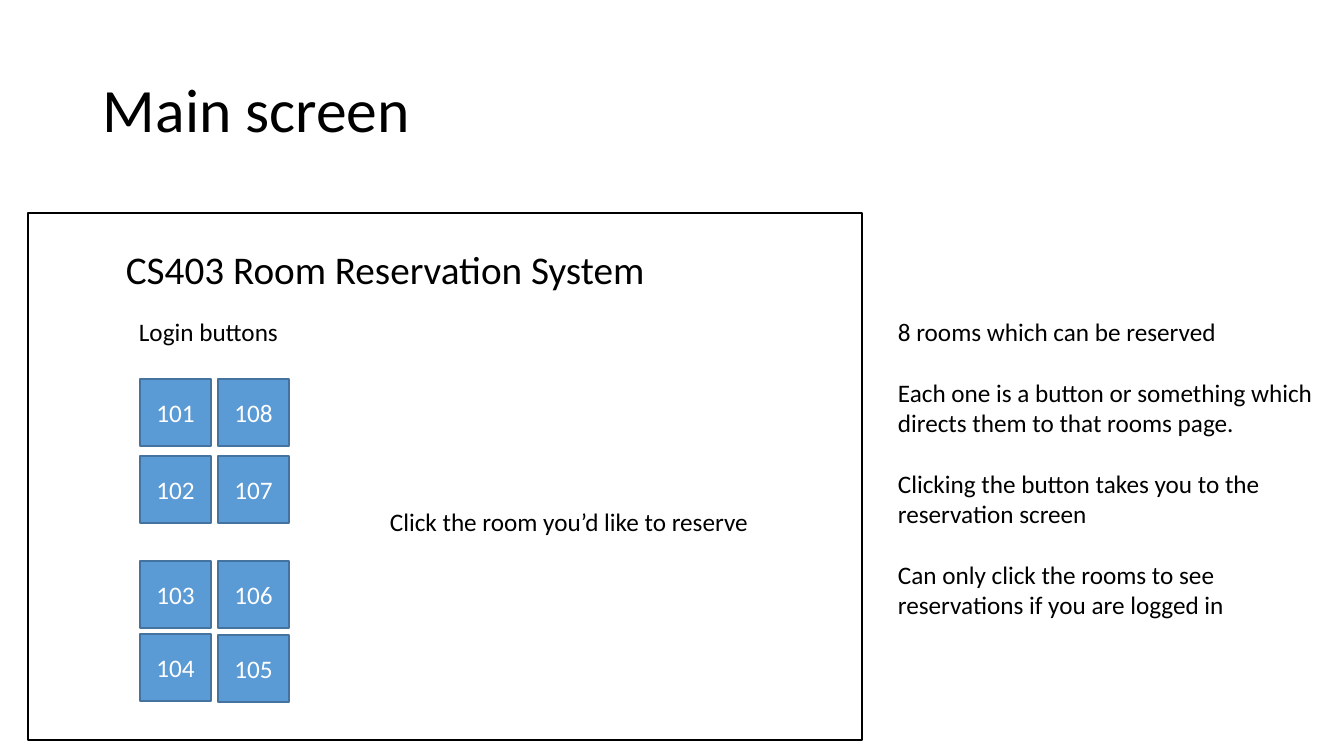
"""Builds the main screen slide of the room reservation system."""
from pptx import Presentation
from pptx.dml.color import RGBColor
from pptx.enum.shapes import MSO_SHAPE
from pptx.enum.text import MSO_ANCHOR, PP_ALIGN
from pptx.util import Pt

RECT = MSO_SHAPE.RECTANGLE
TOP, MIDDLE = MSO_ANCHOR.TOP, MSO_ANCHOR.MIDDLE
LEFT, CENTER = PP_ALIGN.LEFT, PP_ALIGN.CENTER

FONT = "Calibri"
COLORS = {"ink": "000000", "room": "5B9BD5", "edge": "43739E", "label": "FFFFFF"}
WIDE, HIGH = 1344, 756
SCALE = 914400 / 100.8

TITLE = "Main screen"
LABELS = [
    ("Click the room you\u2019d like to reserve", (380, 501, 391, 40), 18),
    ("Login buttons", (129, 311, 161, 40), 18),
    ("CS403 Room Reservation System", (116, 240, 545, 57), 28),
]
NOTES = [
    "8 rooms which can be reserved",
    "Each one is a button or something which directs them to that rooms page.",
    "Clicking the button takes you to the reservation screen",
    "Can only click the rooms to see reservations if you are logged in",
]
ROOMS = [
    (140, [("101", 379), ("102", 456), ("103", 561), ("104", 634)]),
    (218, [("108", 379), ("107", 456), ("106", 561), ("105", 635)]),
]
ROOM_SIZE = (71, 67)
FRAME = (28, 213, 834, 527)


def px(n):
    return round(n * SCALE)


def paint(name):
    return RGBColor.from_string(COLORS[name])


def write(frame, lines, size=18, color="ink", align=LEFT, anchor=TOP,
          wrap=True, gap=0, lead=1.0):
    frame.word_wrap = wrap
    frame.vertical_anchor = anchor
    for i, line in enumerate(lines):
        para = frame.add_paragraph() if i else frame.paragraphs[0]
        para.alignment = align
        para.line_spacing = lead
        para.space_before = Pt(gap if i else 0)
        run = para.add_run()
        run.text = line
        run.font.name = FONT
        run.font.size = Pt(size)
        run.font.color.rgb = paint(color)


def add_text(slide, box, lines, **style):
    shape = slide.shapes.add_textbox(*map(px, box))
    write(shape.text_frame, lines, **style)


def add_box(slide, box, edge, fill=None):
    shape = slide.shapes.add_shape(RECT, *map(px, box))
    shape.shadow.inherit = False
    shape.line.color.rgb = paint(edge)
    shape.line.width = Pt(1)
    if fill:
        shape.fill.solid()
        shape.fill.fore_color.rgb = paint(fill)
    else:
        shape.fill.background()
    return shape


deck = Presentation()
deck.slide_width, deck.slide_height = px(WIDE), px(HIGH)
slide = deck.slides.add_slide(deck.slide_layouts[6])

add_box(slide, FRAME, "ink")
for left, rooms in ROOMS:
    for room, top in rooms:
        shape = add_box(slide, (left, top, *ROOM_SIZE), "edge", "room")
        write(shape.text_frame, [room], color="label", align=CENTER, anchor=MIDDLE)

add_text(slide, (888, 311, 445, 316), NOTES, gap=22)
add_text(slide, (93, 40, 1159, 146), [TITLE], size=44, anchor=MIDDLE, lead=0.9)
for text, box, size in LABELS:
    add_text(slide, box, [text], size=size, wrap=False)

deck.save("out.pptx")
